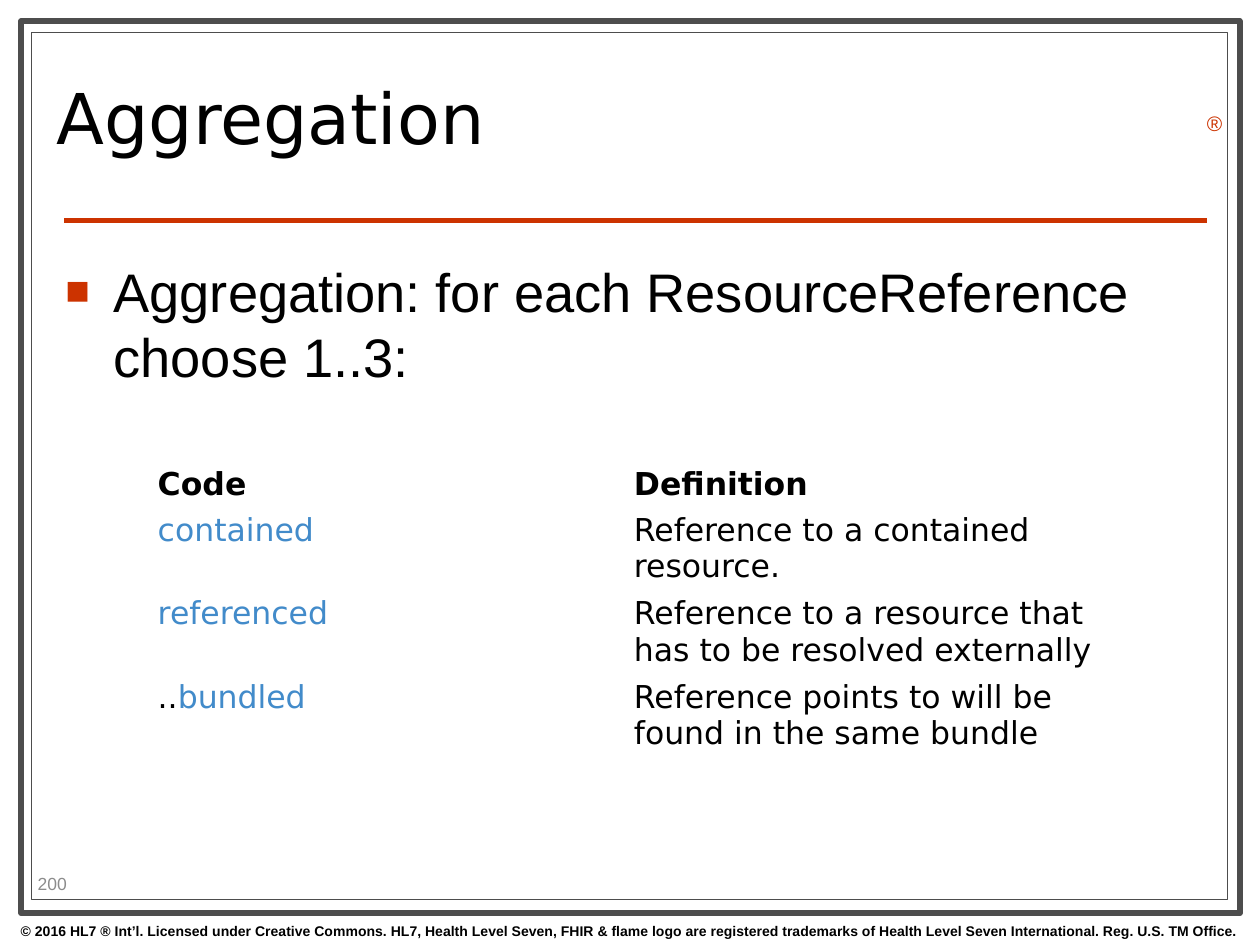
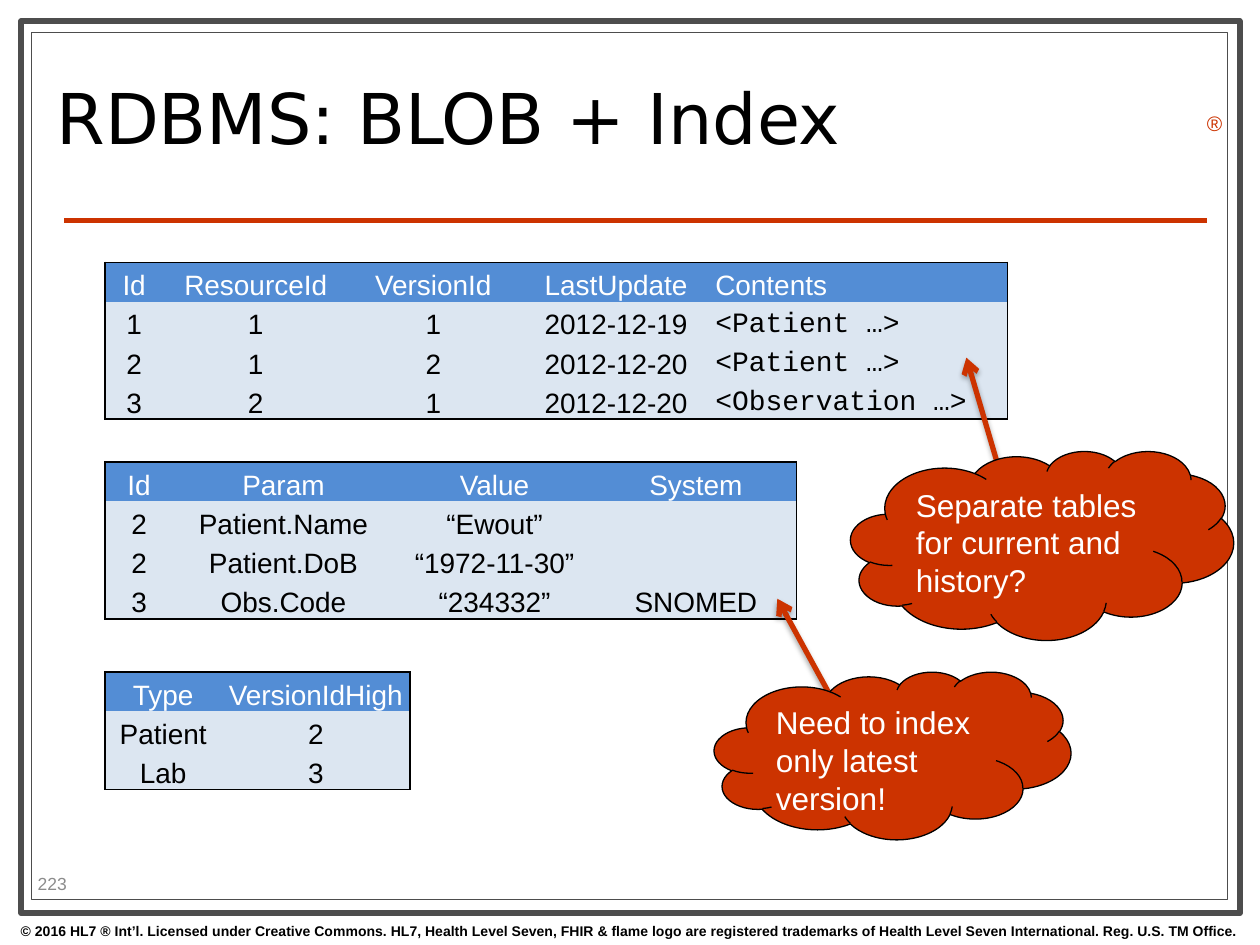
from lxml.etree import SubElement
from pptx import Presentation
from pptx.dml.color import RGBColor
from pptx.enum.shapes import MSO_CONNECTOR as Connector, MSO_SHAPE as Shape
from pptx.enum.text import MSO_ANCHOR as Anchor, PP_ALIGN as Align
from pptx.oxml.ns import qn
from pptx.util import Cm, Pt

BLACK, WHITE, GREY, FRAME = "000000", "FFFFFF", "8C8C8C", "4D4D4D"
RED, LINK, HEADER, BODY = "CC3300", "428BCA", "538DD5", "DCE6F1"
SANS, TITLE_FONT, MONO = "Arial", "DejaVu Sans", "Courier New"
COPYRIGHT = (
    "© 2016 HL7 ® Int’l. Licensed under Creative Commons. HL7, Health Level Seven, "
    "FHIR & flame logo are registered trademarks of Health Level Seven International. "
    "Reg. U.S. TM Office."
)


def color(value):
    return RGBColor.from_string(value)


def add_xml(parent, tag, **attributes):
    return SubElement(parent, qn(tag), attributes)


def set_fill(target, value):
    target.fill.solid()
    target.fill.fore_color.rgb = color(value)


def set_line(shape, value, width):
    shape.line.color.rgb = color(value)
    shape.line.width = Pt(width)


def set_border(cell, outer_sides):
    """Draw the named sides (of L, R, T, B) in black and clear the others."""
    properties = cell._tc.get_or_add_tcPr()
    for side in "LRTB":
        line = add_xml(properties, f"a:ln{side}", w=str(Pt(1)))
        if side in outer_sides:
            add_xml(add_xml(line, "a:solidFill"), "a:srgbClr", val=BLACK)
        else:
            add_xml(line, "a:noFill")


class SlideBuilder:
    def __init__(self, presentation):
        self.presentation = presentation
        self.slide = None

    def start_slide(self, title, number):
        """Add a slide with the shared frame, title, rule and footer."""
        self.slide = self.presentation.slides.add_slide(self.presentation.slide_layouts[6])
        self.shape(Shape.RECTANGLE, (0.43, 0.43, 24.56, 17.98), WHITE, FRAME, 3.5)
        self.shape(Shape.RECTANGLE, (0.64, 0.66, 24.1, 17.48), WHITE, FRAME, 0.75)
        self.line((1.3, 4.44), (24.33, 4.44))
        footer = self.text_box((0, 18.47, 25.4, 0.58), COPYRIGHT, 8, bold=True)
        footer.alignment = Align.CENTER
        self.text_box((24.08, 2.11, 0.79, 0.76), "®", 12, RED)
        heading = self.text_box((0.89, 0.91, 18.21, 3.2), title, 40,
                                name=TITLE_FONT, anchor=Anchor.MIDDLE)
        heading.line_spacing = 0.8
        self.text_box((0.51, 17.5, 2.01, 0.61), number, 10, GREY, anchor=Anchor.MIDDLE)

    def fill_text(self, frame, text, size, value=BLACK, name=SANS, bold=False):
        """Fill the first paragraph; text is a string or (text, colour) runs."""
        paragraph = frame.paragraphs[0]
        font = paragraph.font
        font.size, font.name, font.bold = Pt(size), name, bold
        font.color.rgb = color(value)
        if isinstance(text, str):
            paragraph.add_run().text = text
        else:
            for part, run_color in text:
                run = paragraph.add_run()
                run.text = part
                run.font.color.rgb = color(run_color)
        return paragraph

    def text_box(self, box, text, size, value=BLACK, name=SANS, bold=False, anchor=Anchor.TOP):
        frame = self.slide.shapes.add_textbox(*map(Cm, box)).text_frame
        frame.word_wrap = True
        frame.vertical_anchor = anchor
        return self.fill_text(frame, text, size, value, name, bold)

    def bullet(self, box, text, size):
        frame = self.slide.shapes.add_textbox(*map(Cm, box)).text_frame
        frame.word_wrap = True
        properties = frame.paragraphs[0]._p.get_or_add_pPr()
        properties.set("marL", str(Cm(0.97)))
        properties.set("indent", str(Cm(-0.97)))
        add_xml(add_xml(properties, "a:buClr"), "a:srgbClr", val=RED)
        add_xml(properties, "a:buSzPct", val="75000")
        add_xml(properties, "a:buFont", typeface=SANS)
        add_xml(properties, "a:buChar", char="■")
        self.fill_text(frame, text, size)

    def shape(self, kind, box, fill, line, width):
        shape = self.slide.shapes.add_shape(kind, *map(Cm, box))
        shape.shadow.inherit = False
        set_fill(shape, fill)
        set_line(shape, line, width)
        return shape

    def line(self, start, end, arrow=False):
        """Draw a red line; an arrow also gets a head and a soft shadow."""
        line = self.slide.shapes.add_connector(Connector.STRAIGHT, *map(Cm, start + end))
        set_line(line, RED, 3)
        properties = line._element.spPr
        effects = add_xml(properties, "a:effectLst")
        if arrow:
            add_xml(properties.find(qn("a:ln")), "a:tailEnd", type="arrow")
            shadow = add_xml(effects, "a:outerShdw", blurRad=str(Pt(3.1)),
                             dist=str(Pt(1.8)), dir="5400000", rotWithShape="0")
            shade = add_xml(shadow, "a:srgbClr", val=BLACK)
            add_xml(shade, "a:alpha", val="35000")

    def cloud_note(self, box, text, arrow_start, arrow_end):
        self.line(arrow_start, arrow_end, arrow=True)
        frame = self.shape(Shape.CLOUD, box, RED, BLACK, 0.75).text_frame
        frame.word_wrap = True
        frame.vertical_anchor = Anchor.TOP
        self.fill_text(frame, text, 18, WHITE).alignment = Align.LEFT

    def table(self, left, top, widths, heights):
        """Add an empty, unbanded table and return it."""
        table = self.slide.shapes.add_table(
            len(heights), len(widths), Cm(left), Cm(top),
            Cm(sum(widths)), Cm(sum(heights))).table
        table.first_row = table.horz_banding = False
        for column, width in zip(table.columns, widths):
            column.width = Cm(width)
        for row, height in zip(table.rows, heights):
            row.height = Cm(height)
        return table

    def plain_table(self, left, top, widths, heights, rows):
        table = self.table(left, top, widths, heights)
        for r, texts in enumerate(rows):
            for c, text in enumerate(texts):
                cell = table.cell(r, c)
                cell.margin_left = cell.margin_right = Cm(0.08)
                cell.margin_top = cell.margin_bottom = Cm(0.08)
                set_border(cell, "")
                set_fill(cell, WHITE)
                self.fill_text(cell.text_frame, text, 18, name=TITLE_FONT, bold=r == 0)

    def data_table(self, top, widths, rows, code_column=None):
        """Add a boxed database table; code_column is left-aligned code."""
        table = self.table(2.12, top, widths, [0.79] * len(rows))
        last_row, last_column = len(rows) - 1, len(widths) - 1
        for r, texts in enumerate(rows):
            for c, text in enumerate(texts):
                cell = table.cell(r, c)
                cell.margin_left = cell.margin_right = cell.margin_top = Cm(0.03)
                cell.margin_bottom = 0
                cell.vertical_anchor = Anchor.BOTTOM
                edges = {"L": c == 0, "R": c == last_column, "T": r == 0, "B": r == last_row}
                set_border(cell, [side for side, outer in edges.items() if outer])
                set_fill(cell, BODY if r else HEADER)
                if not text:
                    continue
                is_code = c == code_column
                paragraph = self.fill_text(cell.text_frame, text, 16, BLACK if r else WHITE,
                                           MONO if is_code and r else SANS)
                paragraph.alignment = Align.LEFT if is_code else Align.CENTER


def build_aggregation(builder):
    builder.start_slide("Aggregation", "200")
    builder.bullet((1.07, 5.08, 23.29, 12.85),
                   "Aggregation: for each ResourceReference choose 1..3:", 31)
    builder.plain_table(3.1, 9.32, [9.6, 9.6], [0.9, 1.63, 1.63, 1.63], [
        ("Code", "Definition"),
        ([("contained", LINK)], "Reference to a contained resource."),
        ([("referenced", LINK)], "Reference to a resource that has to be resolved externally"),
        ([("..", BLACK), ("bundled", LINK)],
         "Reference points to will be found in the same bundle"),
    ])


def build_blob_index(builder):
    builder.start_slide("RDBMS: BLOB + Index", "223")
    builder.data_table(5.29, [1.17, 3.73, 3.43, 3.94, 5.92], [
        ("Id", "ResourceId", "VersionId", "LastUpdate", "Contents"),
        ("1", "1", "1", "2012-12-19", "<Patient …>"),
        ("2", "1", "2", "2012-12-20", "<Patient …>"),
        ("3", "2", "1", "2012-12-20", "<Observation …>"),
    ], code_column=4)
    builder.data_table(9.31, [1.37, 4.45, 4.06, 4.06], [
        ("Id", "Param", "Value", "System"),
        ("2", "Patient.Name", "“Ewout”", ""),
        ("2", "Patient.DoB", "“1972-11-30”", ""),
        ("3", "Obs.Code", "“234332”", "SNOMED"),
    ])
    builder.data_table(13.55, [2.34, 3.81], [
        ("Type", "VersionIdHigh"),
        ("Patient", "2"),
        ("Lab", "3"),
    ])
    builder.cloud_note((14.4, 13.54, 7.19, 3.38), "Need to index only latest version!",
                       (16.71, 13.97), (15.67, 12.07))
    builder.cloud_note((17.15, 9.09, 7.72, 3.81), "Separate tables for current and history?",
                       (20.22, 9.73), (19.48, 7.21))


def main():
    presentation = Presentation()
    presentation.slide_width, presentation.slide_height = Cm(25.4), Cm(19.05)
    builder = SlideBuilder(presentation)
    build_aggregation(builder)
    build_blob_index(builder)
    presentation.save("out.pptx")


if __name__ == "__main__":
    main()
